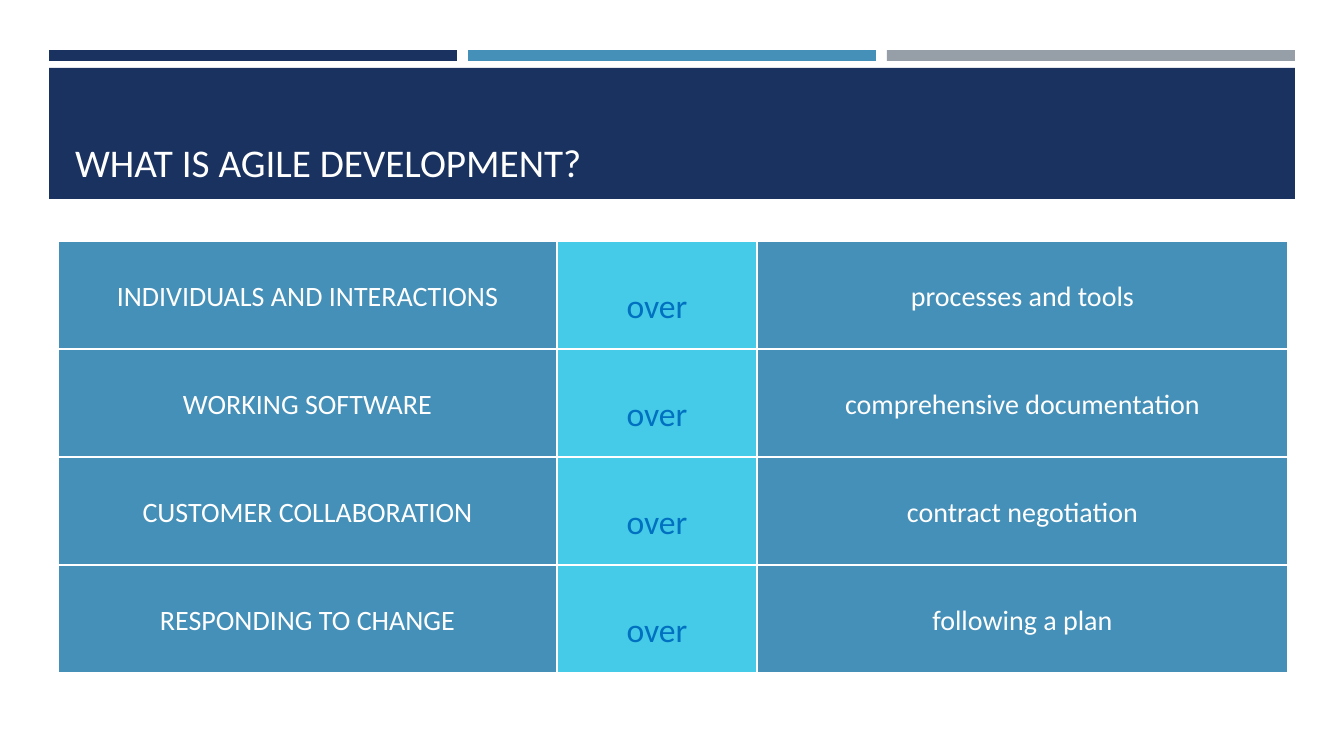
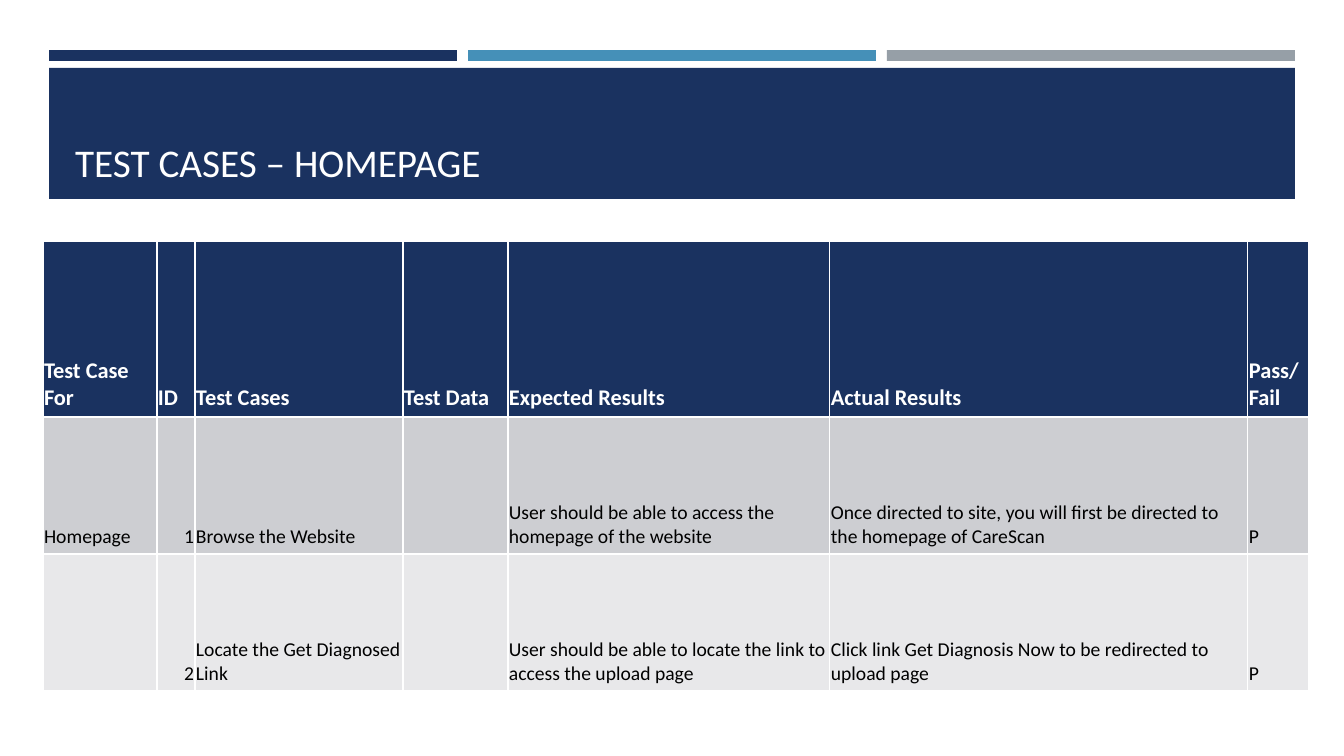
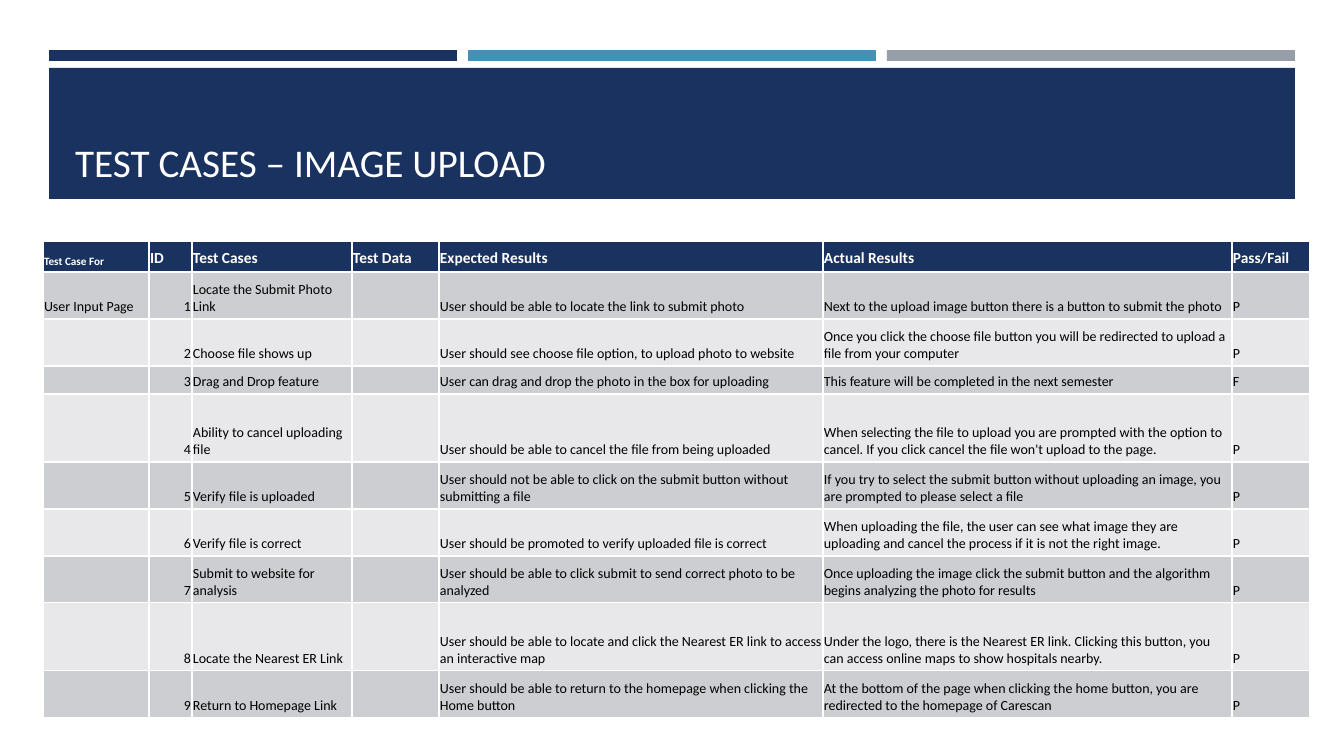
from dataclasses import dataclass, replace

from lxml import etree
from pptx import Presentation
from pptx import util as u
from pptx.dml.color import RGBColor
from pptx.enum import shapes, text
from pptx.oxml.ns import qn

SLIDE_W, SLIDE_H = 1344, 756
EMU_PER_PX = 12192000 / SLIDE_W
FONT = "Calibri"

NAVY = RGBColor(0x1A, 0x32, 0x60)
BLUE = RGBColor(0x45, 0x90, 0xB8)
GRAY = RGBColor(0x96, 0x9F, 0xA7)
CYAN = RGBColor(0x45, 0xCB, 0xE8)
LINK_BLUE = RGBColor(0x00, 0x70, 0xC0)
ROW_DARK = RGBColor(0xCD, 0xCE, 0xD2)
ROW_LIGHT = RGBColor(0xE8, 0xE8, 0xEA)
WHITE = RGBColor(0xFF, 0xFF, 0xFF)
BLACK = RGBColor(0x00, 0x00, 0x00)

LEFT, CENTER, RIGHT = text.PP_ALIGN.LEFT, text.PP_ALIGN.CENTER, text.PP_ALIGN.RIGHT
TOP, BOTTOM = text.MSO_ANCHOR.TOP, text.MSO_ANCHOR.BOTTOM


@dataclass(frozen=True)
class Box:
    left: int
    top: int
    width: int
    height: int

    def emu(self) -> tuple[int, int, int, int]:
        return px(self.left), px(self.top), px(self.width), px(self.height)


@dataclass(frozen=True)
class CellStyle:
    """Look of a table cell; margins are left, top, right, bottom in px."""
    fill: RGBColor
    color: RGBColor
    size: int
    margins: tuple[int, int, int, int]
    align: text.PP_ALIGN = LEFT
    anchor: text.MSO_ANCHOR = BOTTOM
    bold: bool = False


@dataclass(frozen=True)
class TestSheet:
    title: str
    widths: list[int]
    heights: list[int]
    header_sizes: list[int]
    body_size: int
    bottom_margin: int
    rows: list[tuple[str, ...]]


BANNER = Box(49, 68, 1246, 131)
TITLE_BOX = Box(65, 78, 1215, 112)
BANDS = [(Box(49 + 419 * i, 50, 408, 11), color)
         for i, color in enumerate((NAVY, BLUE, GRAY))]

TABLE_TOP = 241
HEADERS = ("Test Case For", "ID", "Test Cases", "Test Data",
           "Expected Results", "Actual Results", "Pass/Fail")
ID_COLUMN = HEADERS.index("ID")

VALUES = [
    ("INDIVIDUALS AND INTERACTIONS", "over", "processes and tools"),
    ("WORKING SOFTWARE", "over", "comprehensive documentation"),
    ("CUSTOMER COLLABORATION", "over", "contract negotiation"),
    ("RESPONDING TO CHANGE", "over", "following a plan"),
]

HOMEPAGE = TestSheet(
    "TEST CASES – HOMEPAGE",
    widths=[114, 38, 208, 105, 322, 418, 61],
    heights=[176, 137, 137],
    header_sizes=[16] * 7, body_size=14, bottom_margin=5,
    rows=[
        ("Homepage", "1", "Browse the Website", "",
         "User should be able to access the homepage of the website",
         "Once directed to site, you will first be directed to the homepage of CareScan", "P"),
        ("", "2", "Locate the Get Diagnosed Link", "",
         "User should be able to locate the link to access the upload page",
         "Click link Get Diagnosis Now to be redirected to upload page", "P"),
    ])

IMAGE_UPLOAD = TestSheet(
    "TEST CASES – IMAGE UPLOAD",
    widths=[106, 43, 160, 87, 384, 409, 78],
    heights=[31, 47, 47, 28, 68, 47, 47, 47, 68, 47],
    header_sizes=[8] + [11] * 6, body_size=10, bottom_margin=4,
    rows=[
        ("User Input Page", "1", "Locate the Submit Photo Link", "",
         "User should be able to locate the link to submit photo",
         "Next to the upload image button there is a button to submit the photo", "P"),
        ("", "2", "Choose file shows up", "",
         "User should see choose file option, to upload photo to website",
         "Once you click the choose file button you will be redirected to upload a file "
         "from your computer", "P"),
        ("", "3", "Drag and Drop feature", "",
         "User can drag and drop the photo in the box for uploading",
         "This feature will be completed in the next semester", "F"),
        ("", "4", "Ability to cancel uploading file", "",
         "User should be able to cancel the file from being uploaded",
         "When selecting the file to upload you are prompted with the option to cancel. "
         "If you click cancel the file won't upload to the page.", "P"),
        ("", "5", "Verify file is uploaded", "",
         "User should not be able to click on the submit button without submitting a file",
         "If you try to select the submit button without uploading an image, you are "
         "prompted to please select a file", "P"),
        ("", "6", "Verify file is correct", "",
         "User should be promoted to verify uploaded file is correct",
         "When uploading the file, the user can see what image they are uploading and "
         "cancel the process if it is not the right image.", "P"),
        ("", "7", "Submit to website for analysis", "",
         "User should be able to click submit to send correct photo to be analyzed",
         "Once uploading the image click the submit button and the algorithm begins "
         "analyzing the photo for results", "P"),
        ("", "8", "Locate the Nearest ER Link", "",
         "User should be able to locate and click the Nearest ER link to access an "
         "interactive map",
         "Under the logo, there is the Nearest ER link. Clicking this button, you can "
         "access online maps to show hospitals nearby.", "P"),
        ("", "9", "Return to Homepage Link", "",
         "User should be able to return to the homepage when clicking the Home button",
         "At the bottom of the page when clicking the home button, you are redirected to "
         "the homepage of Carescan", "P"),
    ])


def px(n: int) -> int:
    return u.Emu(round(n * EMU_PER_PX))


def style_layout(layout, s) -> None:
    """Draw the bands on slide s, then move them behind the layout's title."""
    for i, (box, color) in enumerate([*BANDS, (BANNER, NAVY)]):
        band = s.shapes.add_shape(shapes.MSO_SHAPE.RECTANGLE, *box.emu())
        band.shadow.inherit = False
        band.fill.solid()
        band.fill.fore_color.rgb = color
        band.line.fill.background()
        layout.shapes._spTree.insert(2 + i, band._element)
    title = next(ph for ph in layout.placeholders if ph.placeholder_format.idx == 0)
    title.left, title.top, title.width, title.height = TITLE_BOX.emu()


def set_title(s, title: str) -> None:
    tf = s.shapes.title.text_frame
    tf.text = title
    tf.vertical_anchor = BOTTOM
    tf.auto_size = text.MSO_AUTO_SIZE.NONE
    p = tf.paragraphs[0]
    p.alignment = LEFT
    p.font.name, p.font.size, p.font.color.rgb = FONT, u.Pt(28), WHITE


def fill_cell(cell, content: str, style: CellStyle) -> None:
    cell.fill.solid()
    cell.fill.fore_color.rgb = style.fill
    cell.vertical_anchor = style.anchor
    (cell.margin_left, cell.margin_top,
     cell.margin_right, cell.margin_bottom) = map(px, style.margins)
    p = cell.text_frame.paragraphs[0]
    p.alignment = style.align
    p.font.name, p.font.size, p.font.bold = FONT, u.Pt(style.size), style.bold
    p.font.color.rgb = style.color
    if content:
        p.add_run().text = content
    else:
        # An empty cell takes its line height from the end mark.
        etree.SubElement(p._p, qn("a:endParaRPr"), sz=str(style.size * 100))


def add_grid(s, left: int, widths: list[int], heights: list[int], has_header: bool):
    box = Box(left, TABLE_TOP, sum(widths), sum(heights))
    table = s.shapes.add_table(len(heights), len(widths), *box.emu()).table
    table.first_row, table.horz_banding = has_header, False
    for column, width in zip(table.columns, widths):
        column.width = px(width)
    for row, height in zip(table.rows, heights):
        row.height = px(height)
    return table


def add_values_slide(s) -> None:
    set_title(s, "WHAT IS AGILE DEVELOPMENT?")
    side = CellStyle(BLUE, WHITE, 20, (10, 39, 10, 5), CENTER, TOP)
    middle = CellStyle(CYAN, LINK_BLUE, 24, (10, 46, 10, 5), CENTER, TOP)
    table = add_grid(s, 58, [499, 200, 531], [108] * len(VALUES), has_header=False)
    for r, row in enumerate(VALUES):
        for c, (content, style) in enumerate(zip(row, (side, middle, side))):
            fill_cell(table.cell(r, c), content, style)


def add_test_slide(s, sheet: TestSheet) -> None:
    set_title(s, sheet.title)
    table = add_grid(s, 43, sheet.widths, sheet.heights, has_header=True)
    margins = (1, 1, 1, sheet.bottom_margin)
    for c, (header, size) in enumerate(zip(HEADERS, sheet.header_sizes)):
        fill_cell(table.cell(0, c), header, CellStyle(NAVY, WHITE, size, margins, bold=True))
    for r, row in enumerate(sheet.rows, start=1):
        body = CellStyle(ROW_DARK if r % 2 else ROW_LIGHT, BLACK, sheet.body_size, margins)
        for c, content in enumerate(row):
            style = replace(body, align=RIGHT) if c == ID_COLUMN else body
            fill_cell(table.cell(r, c), content, style)


def main() -> None:
    prs = Presentation()
    prs.slide_width, prs.slide_height = px(SLIDE_W), px(SLIDE_H)
    layout = prs.slide_layouts.get_by_name("Title Only")
    s = prs.slides.add_slide(layout)
    style_layout(layout, s)
    add_values_slide(s)
    for sheet in (HOMEPAGE, IMAGE_UPLOAD):
        add_test_slide(prs.slides.add_slide(layout), sheet)
    prs.save("out.pptx")


if __name__ == "__main__":
    main()
